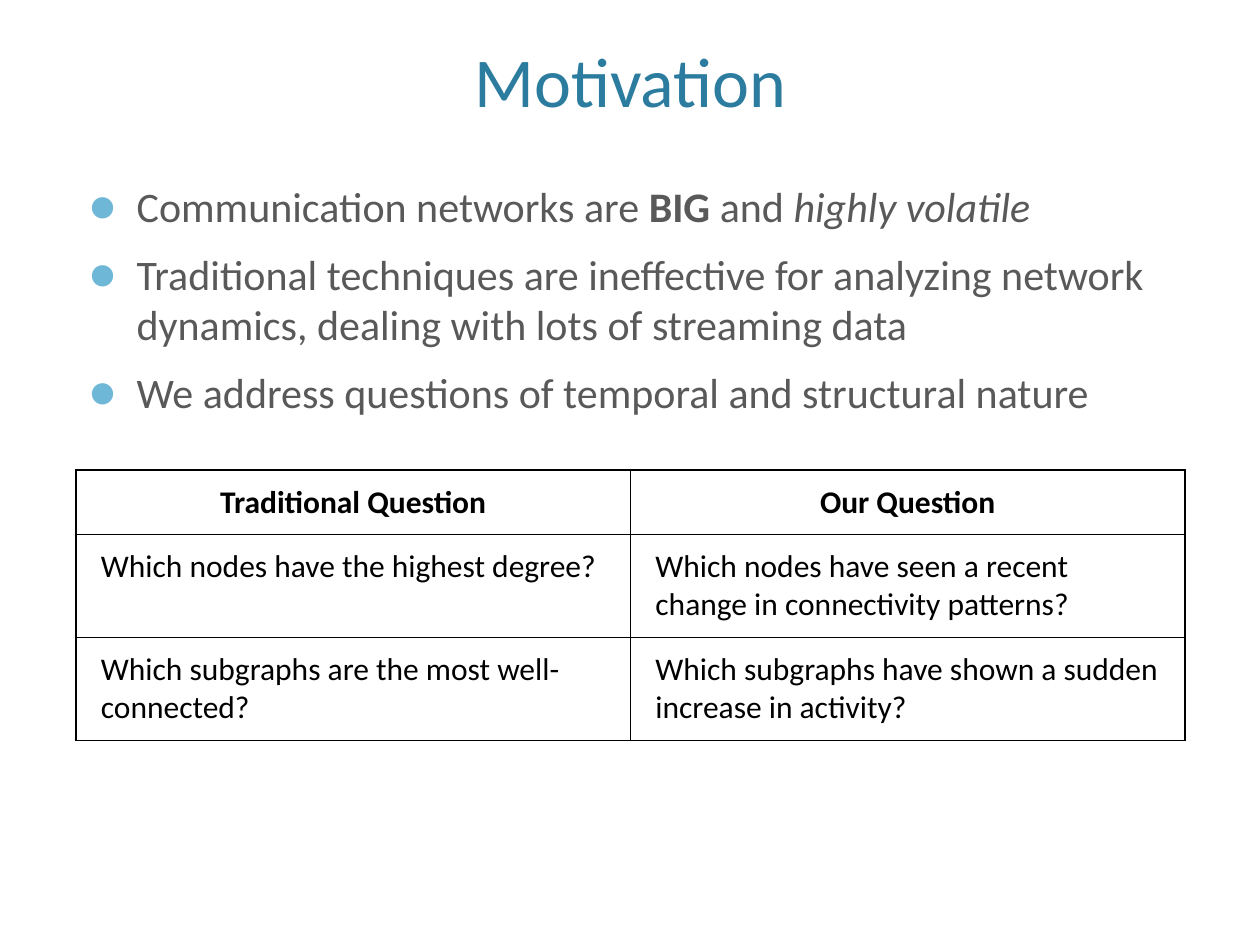
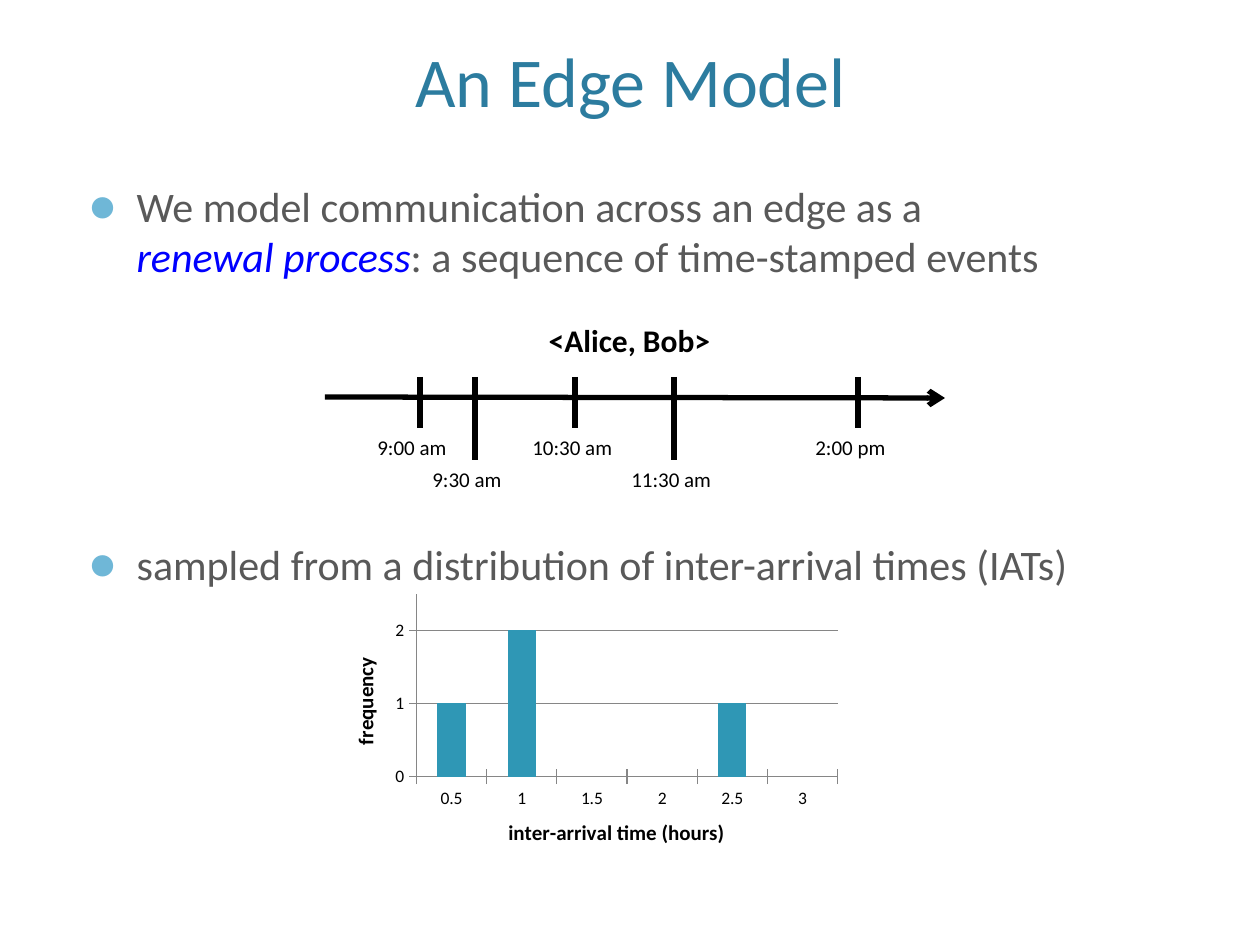
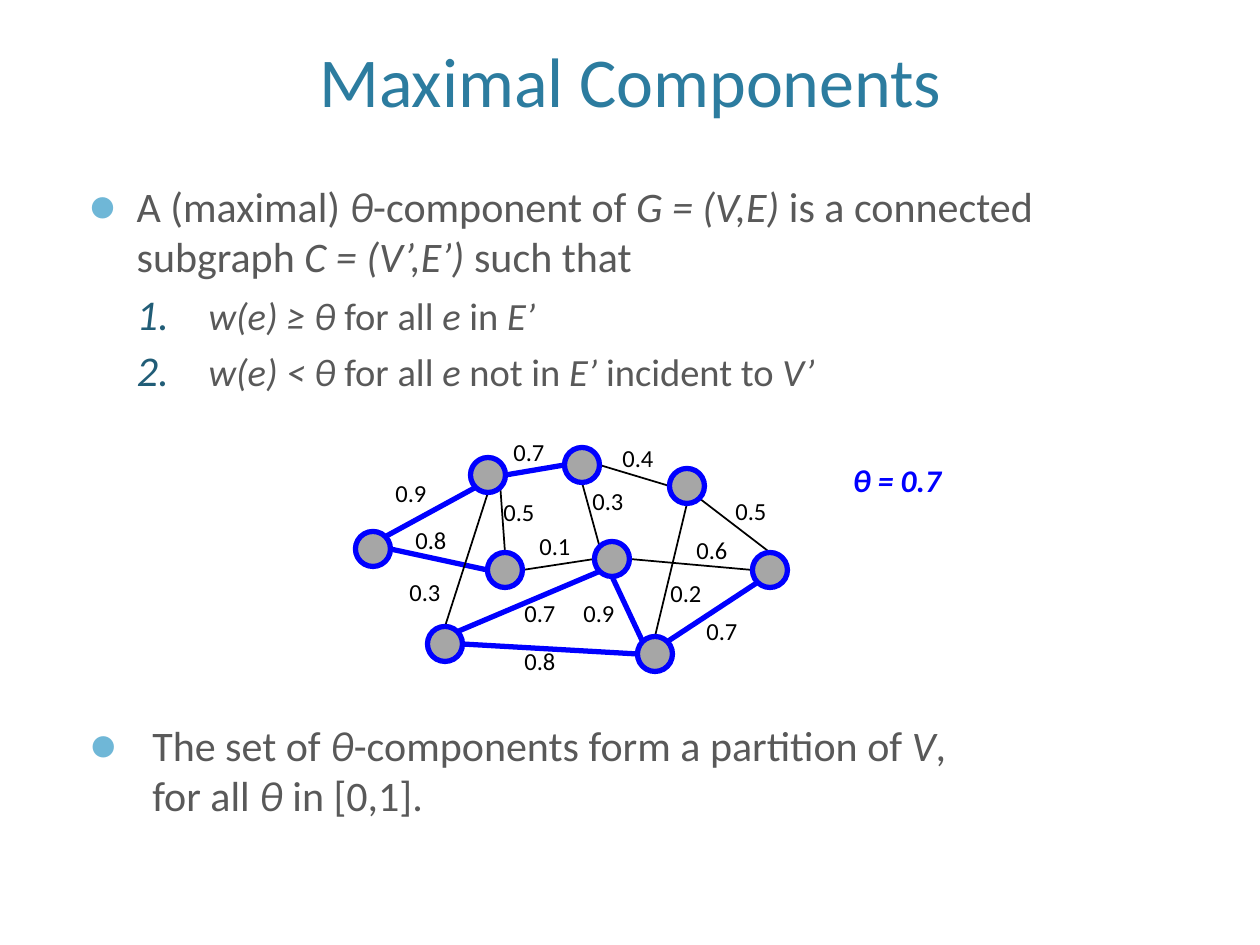
from copy import deepcopy
from math import cos, pi, sin

from lxml import etree
from pptx import Presentation
from pptx.chart.data import CategoryChartData
from pptx.dml.color import RGBColor
from pptx.enum.chart import XL_CHART_TYPE, XL_TICK_MARK
from pptx.enum.shapes import MSO_CONNECTOR, MSO_SHAPE
from pptx.enum.text import MSO_ANCHOR, MSO_AUTO_SIZE, PP_ALIGN
from pptx.oxml.ns import qn
from pptx.util import Pt

COLUMN, CROSS = XL_CHART_TYPE.COLUMN_CLUSTERED, XL_TICK_MARK.CROSS
LINE, OVAL = MSO_CONNECTOR.STRAIGHT, MSO_SHAPE.OVAL
TOP, MIDDLE = MSO_ANCHOR.TOP, MSO_ANCHOR.MIDDLE
LEFT, CENTER = PP_ALIGN.LEFT, PP_ALIGN.CENTER
FIXED = MSO_AUTO_SIZE.NONE

SCALE = 914400 / 126  # EMU in one px
FONT = "Calibri"
HEX = {"title": "2C7C9F", "body": "595959", "bullet": "6FB7D7", "number": "215D77",
       "ink": "000000", "blue": "0000FF", "node": "A6A6A6", "bar": "2F97B5",
       "grid": "868686"}

# Content: a run is a string, or (string, flags) with b bold, i italic, u blue
POINTS = [
    ["Communication networks are ", ("BIG", "b"), " and ", ("highly volatile", "i")],
    ["Traditional techniques are ineffective for analyzing network dynamics, "
     "dealing with lots of streaming data"],
    ["We address questions of temporal and structural nature"],
]
ASKED = [
    ("Traditional Question", "Our Question"),
    ("Which nodes have the highest degree?",
     "Which nodes have seen a recent change in connectivity patterns?"),
    ("Which subgraphs are the most well-connected?",
     "Which subgraphs have shown a sudden increase in activity?"),
]
ROWS = (63, 102, 102)

MODEL = ["We model communication across an edge as a\n", ("renewal process", "iu"),
         ": a sequence of time-stamped events"]
SAMPLE = ["sampled from a distribution of inter-arrival times (IATs)"]
EVENTS = [("9:00 am", 420, 0), ("9:30 am", 475, 1), ("10:30 am", 575, 0),
          ("11:30 am", 674, 1), ("2:00 pm", 858, 0)]  # label, x, step down
GAPS = {"0.5": 1, "1": 2, "1.5": None, "2": None, "2.5": 1, "3": None}

DEFINE = ["A (maximal) ", ("θ", "i"), "-component of ", ("G = (V,E)", "i"),
          " is a connected subgraph ", ("C = (V’,E’)", "i"), " such that"]
RULES = [
    [("w(e) ≥ θ", "i"), " for all ", ("e", "i"), " in ", ("E’", "i")],
    [("w(e) < θ", "i"), " for all ", ("e", "i"), " not in ", ("E’", "i"),
     " incident to ", ("V’", "i")],
]
SPLIT = ["The set of ", ("θ", "i"), "-components form a partition of ", ("V", "i"),
         ",\nfor all ", ("θ", "i"), " in [0,1]."]
THETA = 0.7
NODES = {"A": (373, 549), "B": (488, 475), "C": (582, 465), "D": (687, 486),
         "E": (505, 570), "F": (612, 559), "G": (770, 570), "H": (445, 644),
         "I": (655, 654)}
# Ends as node and site (eighths of a turn left from the top), weight, label place
EDGES = [
    ("B3", "A7", 0.9, 383, 472), ("B6", "C2", 0.7, 501, 431),
    ("A6", "E2", 0.8, 403, 519), ("H7", "F3", 0.7, 512, 592),
    ("F4", "I1", 0.9, 571, 592), ("H6", "I2", 0.8, 512, 640),
    ("I7", "G3", 0.7, 694, 610), ("H0", "B4", 0.3, 397, 571),
    ("C6", "D2", 0.4, 610, 437), ("F1", "C4", 0.3, 580, 480),
    ("F6", "G2", 0.6, 684, 529), ("D5", "G0", 0.5, 723, 490),
    ("E0", "B5", 0.5, 491, 491), ("E6", "F2", 0.1, 527, 525),
    ("D4", "I0", 0.2, 658, 572),
]
# The strong edge between F and G is below the threshold, so weight alone decides
SIZE = 35


# Shared helpers
def px(*vals):
    return [round(v * SCALE) for v in vals]


def rgb(name):
    return RGBColor.from_string(HEX[name])


def sub(parent, tag, **attrs):
    return etree.SubElement(parent, qn(tag), attrs)


def ink(font, size, color, flags=""):
    font.name, font.size = FONT, Pt(size)
    font.bold, font.italic = "b" in flags, "i" in flags
    font.color.rgb = rgb("blue" if "u" in flags else color)


def write(para, runs, size, color="ink", align=LEFT):
    para.alignment = align
    for item in runs:
        text, flags = (item, "") if isinstance(item, str) else item
        for i, part in enumerate(text.split("\n")):
            if i:
                para.add_line_break()
                para._p[-1].append(deepcopy(run.font._element))
            if part:
                run = para.add_run()
                run.text = part
                ink(run.font, size, color, flags)


def bullet(para, margin, hang, color="bullet", number=False):
    props = para._p.get_or_add_pPr()
    left, back = px(margin, hang)
    props.set("marL", str(left))
    props.set("indent", str(-back))
    sub(sub(props, "a:buClr"), "a:srgbClr", val=HEX[color])
    sub(props, "a:buSzPct", val="110000")
    sub(props, "a:buFont", typeface=FONT)
    if number:
        sub(props, "a:buAutoNum", type="arabicPeriod")
    else:
        sub(props, "a:buChar", char="●")


def fill_list(frame, items, space, margin=48, hang=48):
    for i, runs in enumerate(items):
        para = frame.add_paragraph() if i else frame.paragraphs[0]
        bullet(para, margin, hang)
        para.space_before = Pt(space if i else 0)
        write(para, runs, 24, "body")


def place(shape, box):
    shape.left, shape.top, shape.width, shape.height = px(*box)
    frame = shape.text_frame
    frame.auto_size, frame.word_wrap = FIXED, True
    return frame


def start(deck, title, items, height, space):
    slide = deck.slides.add_slide(deck.slide_layouts[1])
    head = place(slide.shapes.title, (76, 15, 1109, 130))
    head.vertical_anchor = MIDDLE
    write(head.paragraphs[0], [title], 40, "title", CENTER)
    body = place(slide.placeholders[1], (76, 174, 1109, height))
    body.vertical_anchor = TOP
    fill_list(body, items, space)
    return slide, body


def label(slide, box, runs, size, align=LEFT, wrap=True):
    frame = slide.shapes.add_textbox(*px(*box)).text_frame
    frame.word_wrap = wrap
    write(frame.paragraphs[0], runs, size, align=align)


def line(slide, ends, width, color="ink", arrow=False):
    link = slide.shapes.add_connector(LINE, *px(*ends))
    link.line.width, link.line.color.rgb = Pt(width), rgb(color)
    if arrow:
        sub(link.line._get_or_add_ln(), "a:tailEnd", type="arrow")
    sub(link._element.spPr, "a:effectLst")


# Slide 1: table of questions
def add_asked(slide):
    shape = slide.shapes.add_table(len(ASKED), 2, *px(76, 470, 1109, sum(ROWS)))
    table = shape.table
    table.first_row = table.horz_banding = False
    for r, texts in enumerate(ASKED):
        table.rows[r].height = px(ROWS[r])[0]
        for c, text in enumerate(texts):
            cell = table.cell(r, c)
            cell.margin_left, cell.margin_right = px(25, 25)
            cell.margin_top, cell.margin_bottom = px(13, 13)
            write(cell.text_frame.paragraphs[0], [text if r else (text, "b")], 18,
                  align=LEFT if r else CENTER)
            props = cell._tc.get_or_add_tcPr()
            for side in ("a:lnL", "a:lnR", "a:lnT", "a:lnB"):
                edge = sub(props, side, w=str(Pt(1)))
                sub(sub(edge, "a:solidFill"), "a:srgbClr", val=HEX["ink"])
            cell.fill.background()


# Slide 2: time line and histogram
def add_times(slide):
    line(slide, (325, 397, 945, 398), 3, arrow=True)
    label(slide, (456, 315, 347, 51), [("<Alice, Bob>", "b")], 18, CENTER)
    for text, x, step in EVENTS:
        foot = 428 + 32 * step
        line(slide, (x, 377, x, foot), 3)
        label(slide, (x - 55, foot, 12 * len(text) + 27, 38), [text], 12, wrap=False)


def add_bars(slide):
    data = CategoryChartData()
    data.categories = list(GAPS)
    data.add_series("Series 1", list(GAPS.values()))
    chart = slide.shapes.add_chart(COLUMN, *px(325, 588, 523, 285), data).chart
    chart.has_title = chart.has_legend = False
    ink(chart.font, 10, "ink")
    plot = chart.plots[0]
    plot.gap_width, plot.vary_by_categories = 150, False
    fill = plot.series[0].format.fill
    fill.solid()
    fill.fore_color.rgb = rgb("bar")

    across, up = chart.category_axis, chart.value_axis
    for axis, text in ((across, "inter-arrival time (hours)"), (up, "frequency")):
        axis.major_tick_mark = CROSS
        axis.format.line.color.rgb = rgb("grid")
        write(axis.axis_title.text_frame.paragraphs[0], [(text, "b")], 12)
    turn = up.axis_title.text_frame._element.find(qn("a:bodyPr"))
    turn.set("rot", "-5400000")
    turn.set("vert", "horz")
    up.minimum_scale, up.maximum_scale, up.major_unit = 0, 2.5, 1
    up.has_major_gridlines = True
    up.major_gridlines.format.line.color.rgb = rgb("grid")
    up.tick_labels.number_format = "General"
    up.tick_labels.number_format_is_linked = False


# Slide 3: weighted graph
def site(end):
    x, y = NODES[end[0]]
    turn = int(end[1]) * pi / 4
    return x - SIZE / 2 * sin(turn), y - SIZE / 2 * cos(turn)


def add_graph(slide):
    for *_, weight, x, y in EDGES:
        label(slide, (x, y, 73, 42), [str(weight)], 14)
    for tail, head, weight, *_ in EDGES:
        strong = weight >= THETA
        line(slide, site(tail) + site(head), 3 if strong else 1,
             "blue" if strong else "ink")
    for x, y in NODES.values():
        node = slide.shapes.add_shape(
            OVAL, *px(x - SIZE / 2, y - SIZE / 2, SIZE, SIZE))
        node.shadow.inherit = False
        node.fill.solid()
        node.fill.fore_color.rgb = rgb("node")
        node.line.width, node.line.color.rgb = Pt(3), rgb("blue")
    label(slide, (829, 455, 136, 51), [(f"θ = {THETA}", "biu")], 18, CENTER)


def add_rules(body):
    for runs in RULES:
        para = body.add_paragraph()
        para.level = 1
        bullet(para, 120, 72, "number", True)
        para.space_before = Pt(6)
        write(para, runs, 22, "body")


def main():
    deck = Presentation()
    deck.slide_width, deck.slide_height = px(1260, 945)

    slide, _ = start(deck, "Motivation", POINTS, 257, 10)
    add_asked(slide)

    slide, _ = start(deck, "An Edge Model", [MODEL, SAMPLE], 645, 147)
    add_times(slide)
    add_bars(slide)

    slide, body = start(deck, "Maximal Components", [DEFINE], 247, 0)
    add_rules(body)
    add_graph(slide)
    box = slide.shapes.add_textbox(*px(76, 713, 1109, 113))
    box.text_frame.word_wrap = True
    fill_list(box.text_frame, [SPLIT], 0, 64, 63)

    deck.save("out.pptx")


if __name__ == "__main__":
    main()
